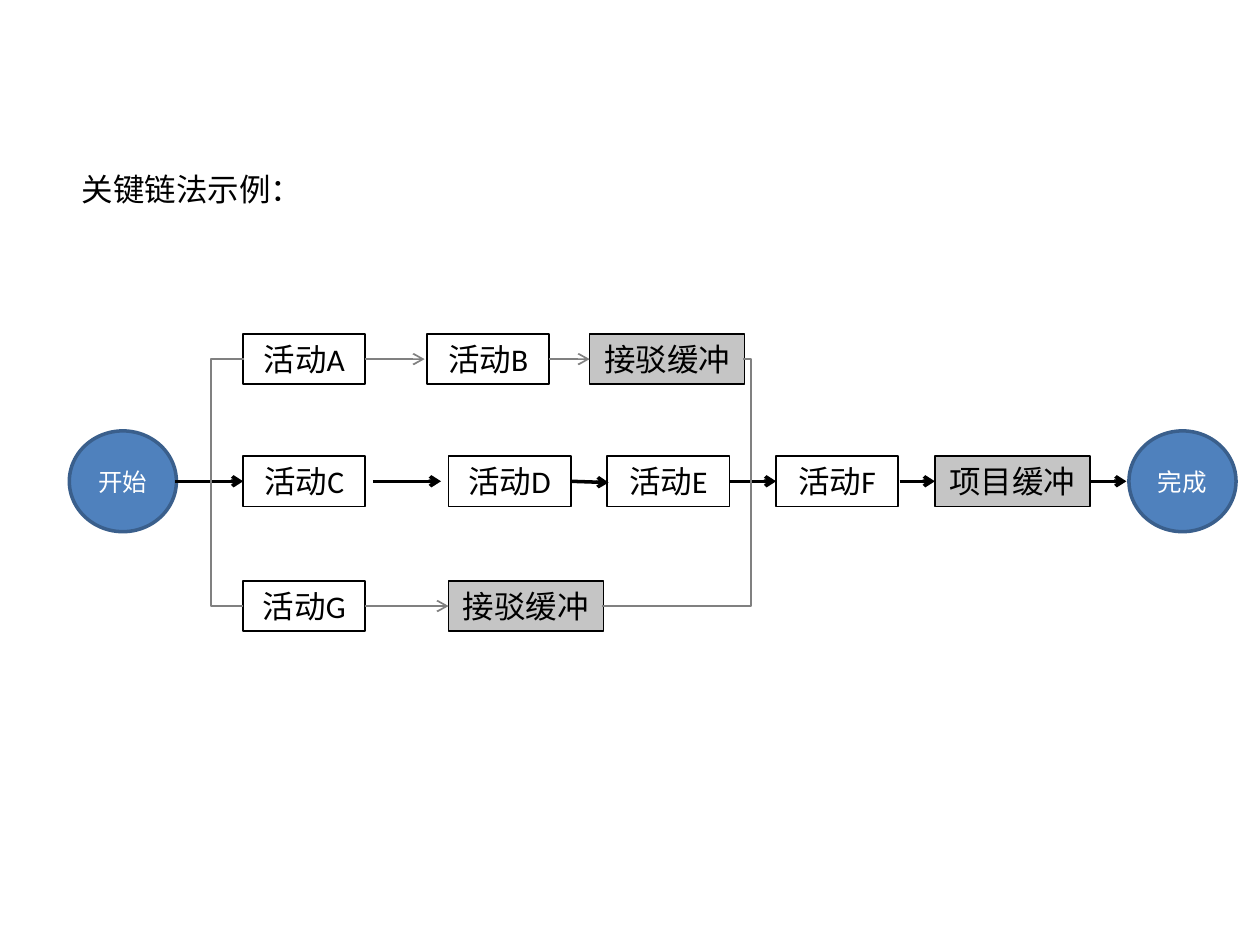
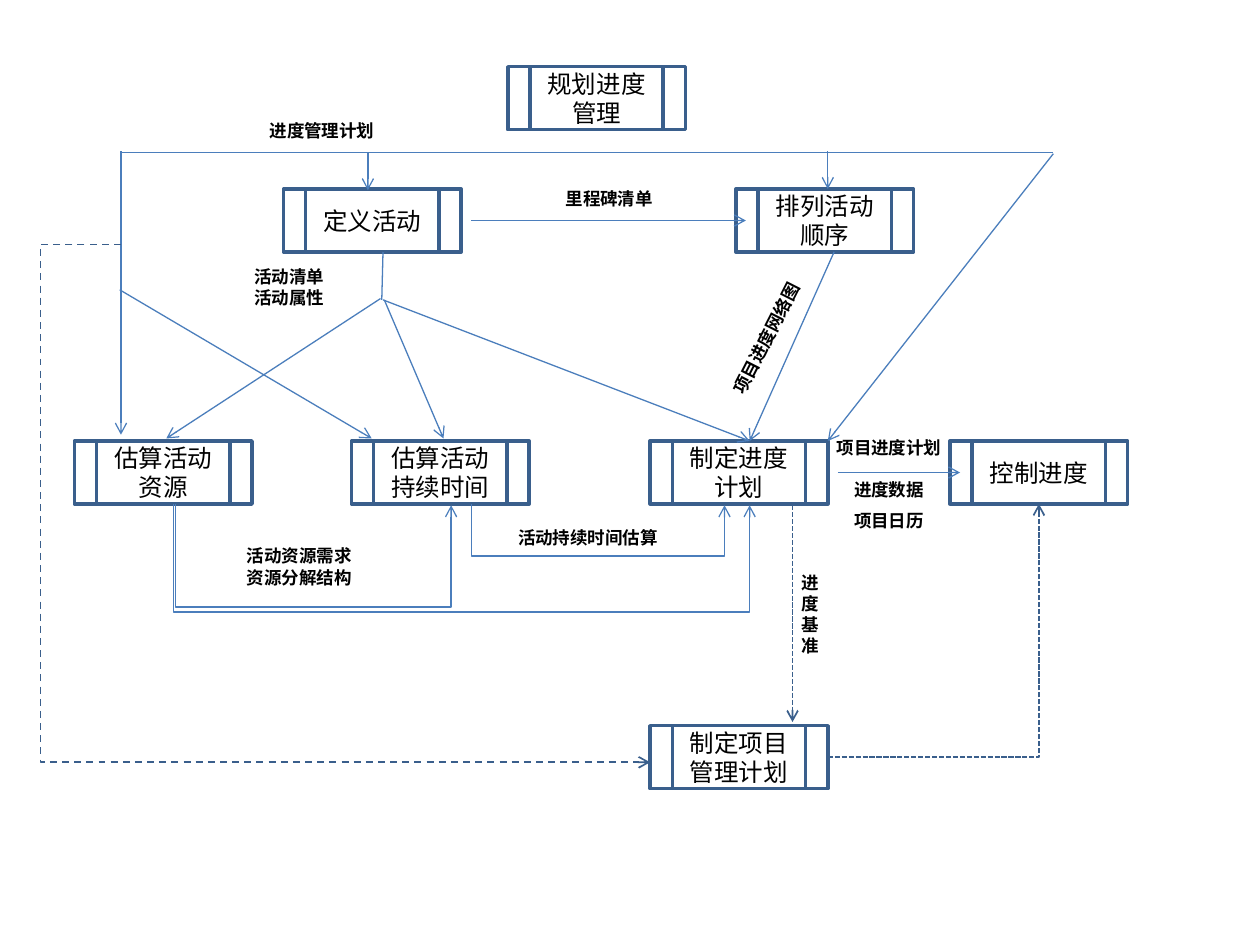
import pptx
import pptx.util
import pptx.dml.color
import pptx.enum.dml
import pptx.enum.shapes
import pptx.enum.text
import pptx.oxml.ns
from lxml import etree

PX = 9144
FONT = "Calibri"
RGBColor = pptx.dml.color.RGBColor
BLACK = RGBColor(0x00, 0x00, 0x00)
WHITE = RGBColor(0xFF, 0xFF, 0xFF)
GRAY = RGBColor(0x80, 0x80, 0x80)
BLUE = RGBColor(0x4F, 0x81, 0xBD)
NAVY = RGBColor(0x3A, 0x5F, 0x8C)
FLOW_BLUE = RGBColor(0x4B, 0x7E, 0xBC)
SHAPE = pptx.enum.shapes.MSO_SHAPE
CONNECTOR = pptx.enum.shapes.MSO_CONNECTOR
ANCHOR = pptx.enum.text.MSO_ANCHOR
ALIGN = pptx.enum.text.PP_ALIGN
DASH = pptx.enum.dml.MSO_LINE

CIRCLE_W, CIRCLE_H = 85, 80
ACTIVITY_W, ACTIVITY_H = 97, 40
BUFFER_W = 123
ROW_A, ROW_C, ROW_G = 265, 362, 461
PROCESS_W, PROCESS_H = 141, 50
LABEL_W, LABEL_H = 151, 27
PROCESS_BOTTOM = 400


def px(*lengths):
    return [length * PX for length in lengths]


def sub(parent, tag, **attrs):
    return etree.SubElement(parent, pptx.oxml.ns.qn(tag), attrs)


def write(tf, text, size, color=BLACK, bold=False, align=ALIGN.CENTER, anchor=ANCHOR.TOP, wrap=True):
    tf.word_wrap = wrap
    tf.auto_size = pptx.enum.text.MSO_AUTO_SIZE.NONE
    tf.vertical_anchor = anchor
    p = tf.paragraphs[0]
    p.alignment = align
    r = p.add_run()
    r.text = text
    r.font.name = FONT
    r.font.size = pptx.util.Pt(size)
    r.font.bold = bold
    r.font.color.rgb = color


def add_box(s, kind, x, y, w, h, line, width, fill=None, alpha=None):
    sp = s.shapes.add_shape(kind, *px(x, y, w, h))
    sp.shadow.inherit = False
    sp.line.color.rgb = line
    sp.line.width = pptx.util.Pt(width)
    if fill is None:
        sp.fill.background()
    else:
        sp.fill.solid()
        sp.fill.fore_color.rgb = fill
    if alpha:
        color = sp.fill._xPr.find(".//" + pptx.oxml.ns.qn("a:srgbClr"))
        sub(color, "a:alpha", val=str(alpha * 1000))
    return sp


def add_circle(s, text, x, y):
    sp = add_box(s, SHAPE.OVAL, x, y, CIRCLE_W, CIRCLE_H, NAVY, 2, BLUE)
    write(sp.text_frame, text, 14, WHITE, anchor=ANCHOR.MIDDLE)


def add_activity(s, text, x, y):
    sp = add_box(s, SHAPE.RECTANGLE, x, y, ACTIVITY_W, ACTIVITY_H, BLACK, 1)
    write(sp.text_frame, text, 18, wrap=False)


def add_buffer(s, text, x, y):
    sp = add_box(s, SHAPE.RECTANGLE, x, y, BUFFER_W, ACTIVITY_H, BLACK, 1, GRAY, 45)
    write(sp.text_frame, text, 18, wrap=False)


def add_process(s, text, x, y):
    sp = add_box(s, SHAPE.FLOWCHART_PREDEFINED_PROCESS, x, y, PROCESS_W, PROCESS_H, NAVY, 2)
    write(sp.text_frame, text, 14, anchor=ANCHOR.MIDDLE)
    return sp


def add_label(s, text, x, y, w=LABEL_W, h=LABEL_H, rotation=0):
    sp = s.shapes.add_textbox(*px(x, y, w, h))
    sp.rotation = rotation
    write(sp.text_frame, text, 10, bold=True)


def add_line(s, x0, y0, x1, y1, color=FLOW_BLUE, width=0.75, arrow=True, dash=None, kind=CONNECTOR.STRAIGHT):
    cxn = s.shapes.add_connector(kind, *px(x0, y0, x1, y1))
    cxn.line.color.rgb = color
    cxn.line.width = pptx.util.Pt(width)
    if dash:
        cxn.line.dash_style = dash
    if arrow:
        sub(cxn.line._get_or_add_ln(), "a:tailEnd", type="arrow")
    sub(cxn._element.spPr, "a:effectLst")
    return cxn


def set_bend(cxn, ratio):
    guides = cxn._element.spPr.prstGeom.get_or_add_avLst()
    sub(guides, "a:gd", name="adj1", fmla=f"val {round(ratio * 100000)}")


def add_elbow(s, x0, y0, x1, y1, bend_x, **style):
    cxn = add_line(s, x0, y0, x1, y1, kind=CONNECTOR.ELBOW, **style)
    set_bend(cxn, (bend_x - x0) / (x1 - x0))


def add_under_link(s, x0, x1, bend_y):
    rise, run = 1, x1 - x0
    left = (x0 + x1 - rise) // 2
    top = PROCESS_BOTTOM - run // 2
    cxn = add_line(s, left, top + run, left + rise, top, kind=CONNECTOR.ELBOW)
    cxn._element.spPr.xfrm.set("rot", str(90 * 60000))
    set_bend(cxn, (bend_y - PROCESS_BOTTOM) / rise)


def build_critical_chain(prs):
    s = prs.slides.add_slide(prs.slide_layouts[5])
    title = s.shapes.title
    title.left, title.top, title.width, title.height = px(55, 130, 522, 40)
    write(title.text_frame, "关键链法示例：", 18, align=ALIGN.LEFT)

    add_circle(s, "开始", 55, 342)
    add_circle(s, "完成", 896, 342)
    for name, x, y in (
        ("A", 193, ROW_A), ("B", 339, ROW_A),
        ("C", 193, ROW_C), ("D", 356, ROW_C), ("E", 482, ROW_C), ("F", 616, ROW_C),
        ("G", 193, ROW_G),
    ):
        add_activity(s, "活动" + name, x, y)
    for text, x, y in (("接驳缓冲", 468, ROW_A), ("项目缓冲", 742, ROW_C), ("接驳缓冲", 356, ROW_G)):
        add_buffer(s, text, x, y)

    mid_a, mid_c, mid_g = (y + ACTIVITY_H // 2 for y in (ROW_A, ROW_C, ROW_G))
    for x0, x1, drop in ((139, 193, 0), (296, 350, 0), (453, 483, 1), (579, 616, 0), (714, 742, 0), (865, 894, 0)):
        add_line(s, x0, mid_c, x1, mid_c + drop, BLACK, 2)
    for x0, x1, y in ((290, 337, mid_a), (436, 468, mid_a), (290, 356, mid_g)):
        add_line(s, x0, y, x1, y, GRAY, 1)
    for x0, x1, bend_x in ((590, 478, 596), (194, 193, 167)):
        add_elbow(s, x0, mid_a, x1, mid_g, bend_x, color=GRAY, width=1, arrow=False)


def build_schedule_flow(prs):
    s = prs.slides.add_slide(prs.slide_layouts[6])
    for text, x, y in (
        ("规划进度管理", 403, 53), ("定义活动", 225, 150), ("排列活动顺序", 584, 150),
        ("估算活动资源", 59, 350), ("估算活动持续时间", 279, 350), ("制定进度计划", 516, 350),
    ):
        add_process(s, text, x, y)
    control = add_process(s, "控制进度", 754, 350)
    project_plan = add_process(s, "制定项目管理计划", 516, 576)

    for ends in ((96, 121, 836, 121), (304, 200, 303, 238)):
        add_line(s, *ends, arrow=False)
    for ends in (
        (96, 120, 96, 345), (292, 121, 292, 151), (657, 120, 657, 150), (836, 122, 657, 350),
        (374, 175, 592, 175), (95, 230, 295, 348), (302, 237, 132, 348), (305, 238, 352, 348),
        (304, 238, 595, 350), (662, 200, 595, 350), (665, 375, 762, 375),
    ):
        add_line(s, *ends)
    for x0, x1, bend_y in ((138, 595, 487), (139, 358, 483), (374, 575, 442)):
        add_under_link(s, x0, x1, bend_y)

    add_elbow(s, 96, 194, 516, 605, 32, color=NAVY, width=1, dash=DASH.DASH)
    add_line(s, 629, 401, 629, 573, NAVY, 1, dash=DASH.SQUARE_DOT)
    feedback = add_line(s, 657, 601, 824, 400, NAVY, 1, dash=DASH.SQUARE_DOT, kind=CONNECTOR.ELBOW)
    feedback._element.spPr.prstGeom.set("prst", "bentConnector2")
    feedback.begin_connect(project_plan, 3)
    feedback.end_connect(control, 2)

    for text, x, y in (
        ("进度管理计划", 180, 90), ("里程碑清单", 408, 144), ("活动清单", 154, 206), ("活动属性", 154, 223),
        ("活动资源需求", 162, 428), ("资源分解结构", 162, 445), ("活动持续时间估算", 391, 413),
        ("项目进度计划", 630, 342), ("进度数据", 630, 375), ("项目日历", 630, 400),
    ):
        add_label(s, text, x, y)
    add_label(s, "项目进度网络图", 533, 255, rotation=297)
    add_label(s, "进度基准", 626, 449, w=28, h=77)


def main():
    prs = pptx.Presentation()
    prs.slide_width, prs.slide_height = px(1000, 750)
    build_critical_chain(prs)
    build_schedule_flow(prs)
    prs.save("out.pptx")


if __name__ == "__main__":
    main()
